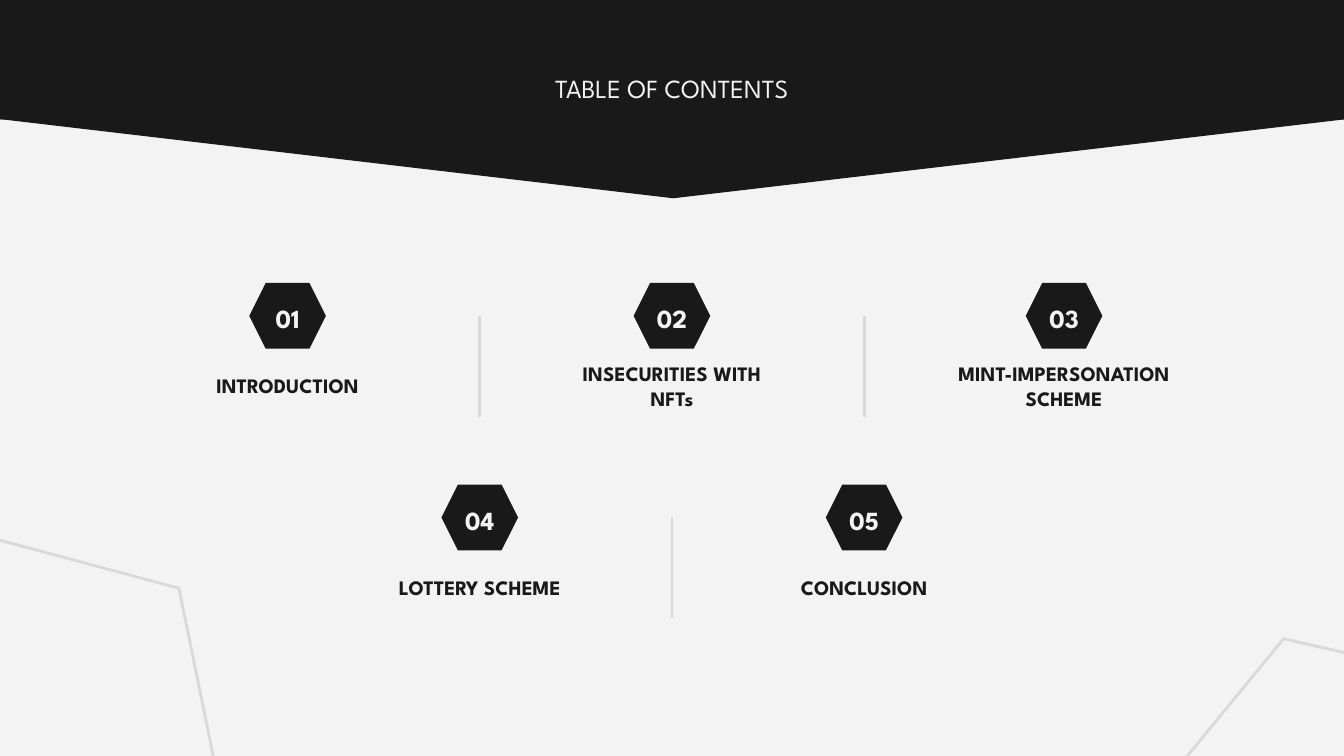
from lxml import etree
from pptx import Presentation, util as u
from pptx.dml.color import RGBColor
from pptx.enum import shapes, text
from pptx.oxml.ns import qn

C = {"dark": "191919", "light": "F3F3F3", "line": "D9D9D9"}
FONT = "League Spartan"
W = 10
H = W * 9 / 16
COL, ROW = 0.143 * W, 1.5    # half-column and row pitch
MID, TOP = W / 2, 2.35       # middle column, centre of the first row of hexagons

prs = Presentation()
prs.slide_width, prs.slide_height = u.Inches(W), u.Inches(H)
s = prs.slides.add_slide(prs.slide_layouts[5])
s.background.fill.solid()
s.background.fill.fore_color.rgb = RGBColor.from_string(C["light"])


def add_shape(kind, x, y, w, h, fill=None, line=None, width=1.5, rotation=0):
    sp = s.shapes.add_shape(kind, u.Inches(x), u.Inches(y), u.Inches(w), u.Inches(h))
    sp.shadow.inherit = False
    sp.rotation = rotation
    if fill:
        sp.fill.solid()
        sp.fill.fore_color.rgb = RGBColor.from_string(C[fill])
    else:
        sp.fill.background()
    if line:
        sp.line.color.rgb = RGBColor.from_string(C[line])
        sp.line.width = u.Pt(width)
    else:
        sp.line.fill.background()
    return sp


def write(sp, words, size, color, bold=False, anchor=text.MSO_ANCHOR.MIDDLE):
    tf = sp.text_frame
    tf.word_wrap = True
    tf.auto_size = text.MSO_AUTO_SIZE.NONE
    tf.vertical_anchor = anchor
    tf.margin_left = tf.margin_right = tf.margin_top = tf.margin_bottom = u.Inches(0.1)
    p = tf.paragraphs[0]
    p.alignment = text.PP_ALIGN.CENTER
    r = p.add_run()
    r.text = words
    r.font.name, r.font.size, r.font.bold = FONT, u.Pt(size), bold
    r.font.color.rgb = RGBColor.from_string(C[color])


# Banner with its point down
add_shape(shapes.MSO_SHAPE.ISOSCELES_TRIANGLE, -0.01, 0.88, 10.04, 0.59,
          "dark", "dark", 0.75, rotation=180)
add_shape(shapes.MSO_SHAPE.RECTANGLE, -0.01, -0.04, 10.04, 0.93, "dark")

# Title, raised above the banner
title = s.shapes.title
title.left, title.top = u.Inches(3.37), u.Inches(0.44)
title.width, title.height = u.Inches(3.26), u.Inches(0.75)
write(title, "TABLE OF CONTENTS", 14, "light", anchor=text.MSO_ANCHOR.TOP)
s.shapes.element.append(title.element)

# Sections: half-columns from the middle, row, label, label width
sections = [
    (-2, 0, "INTRODUCTION", 1.75),
    (0, 0, "INSECURITIES WITH NFTs", 1.75),
    (2.04, 0, "MINT-IMPERSONATION SCHEME", 2.08),
    (-1, 1, "LOTTERY SCHEME", 1.75),
    (1, 1, "CONCLUSION", 1.75),
]
for number, (col, row, label, width) in enumerate(sections, 1):
    x, y = MID + col * COL, TOP + row * ROW
    sp = add_shape(shapes.MSO_SHAPE.HEXAGON, x - 0.285, y - 0.245, 0.57, 0.49, "dark")
    sp.adjustments[0] = 0.25
    for words, w, h, drop, size, color in [(f"{number:02}", 0.82, 0.33, 0.02, 14, "light"),
                                           (label, width, 0.63, 0.52, 11, "dark")]:
        box = s.shapes.add_textbox(u.Inches(x - w / 2), u.Inches(y + drop - h / 2),
                                   u.Inches(w), u.Inches(h))
        write(box, words, size, color, bold=True)

# Dividers between sections
for col, row in [(-1, 0), (1, 0), (0, 1)]:
    x, y = u.Inches(MID + col * COL), TOP + row * ROW
    line = s.shapes.add_connector(shapes.MSO_CONNECTOR.STRAIGHT,
                                  x, u.Inches(y), x, u.Inches(y + ROW / 2))
    line.line.color.rgb = RGBColor.from_string(C["line"])
    line.line.width = u.Pt(1.5)
    etree.SubElement(line.element.spPr, qn("a:effectLst"))

# Outlined hexagons in the bottom corners
for x, y, rotation in [(-1.56, 4.08, 15), (8.29, 5.05, 309.4)]:
    sp = add_shape(shapes.MSO_SHAPE.HEXAGON, x, y, 3.23, 2.53, line="line", rotation=rotation)
    sp.adjustments[0] = 0.25

prs.save("out.pptx")
